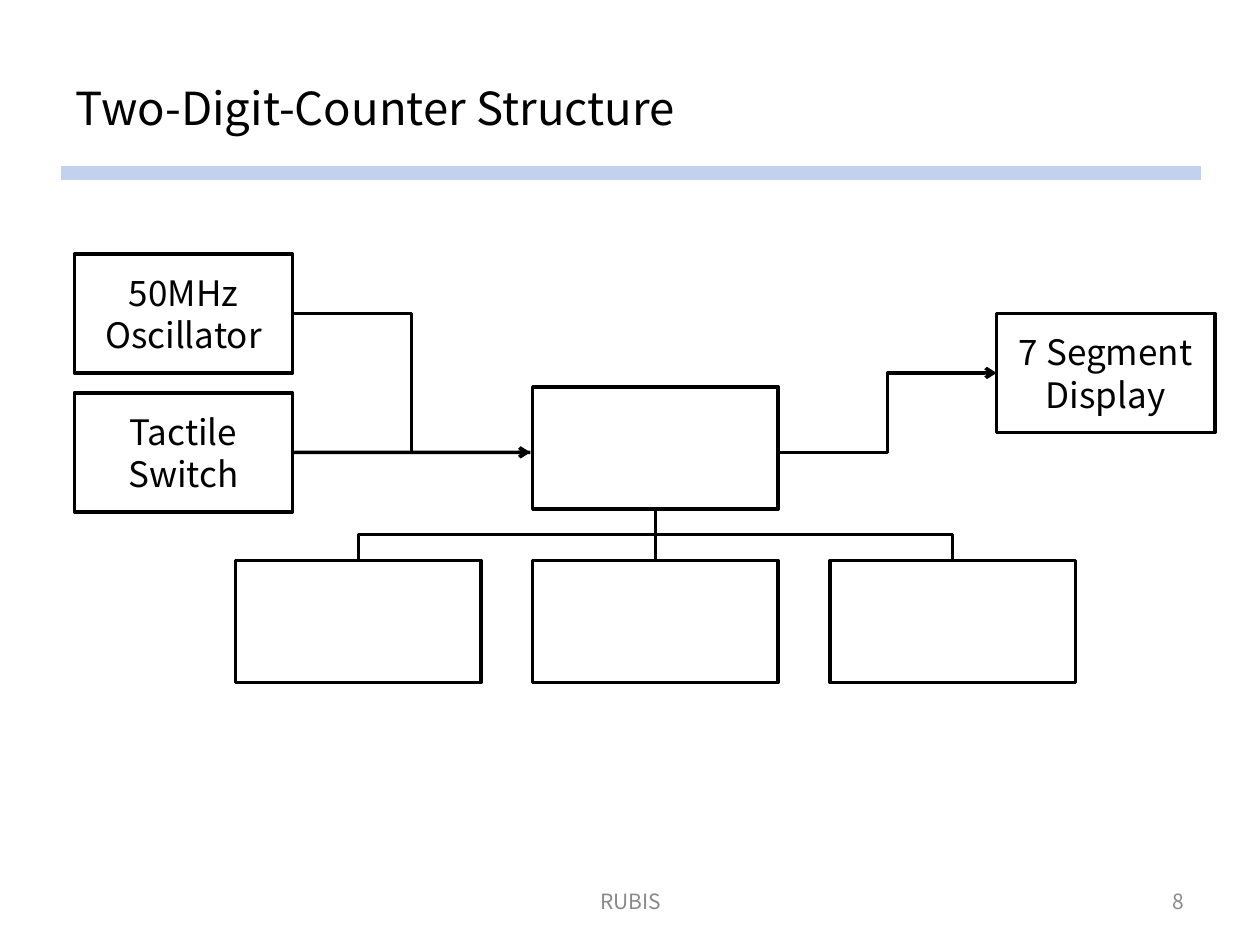
import pptx
import pptx.util
import pptx.dml.color
import pptx.enum.shapes
import pptx.enum.text
import pptx.oxml
from pptx.oxml.ns import qn
from pptx.util import Cm

COLORS = {"black": "000000", "white": "FFFFFF", "gray": "898989", "bar": "C2D1ED"}
FONT = "Noto Sans CJK KR"
CONNECTOR = pptx.enum.shapes.MSO_CONNECTOR
ALIGN = pptx.enum.text.PP_ALIGN


def write(shape, text, size=20, color="black", align=ALIGN.CENTER, spacing=None):
    frame = shape.text_frame
    frame.word_wrap = True
    frame.vertical_anchor = pptx.enum.text.MSO_ANCHOR.MIDDLE
    frame.text = text
    paragraph = frame.paragraphs[0]
    paragraph.alignment = align
    paragraph.line_spacing = spacing
    paragraph.font.name = FONT
    paragraph.font.size = pptx.util.Pt(size)
    paragraph.font.color.rgb = pptx.dml.color.RGBColor.from_string(COLORS[color])


def style_line(shape, color="black", width=2, arrow=False):
    shape.line.color.rgb = pptx.dml.color.RGBColor.from_string(COLORS[color])
    shape.line.width = pptx.util.Pt(width)
    if arrow:
        pptx.oxml.xmlchemy.OxmlElement  # arrowhead goes last inside the line
        shape.line._get_or_add_ln().append(pptx.oxml.xmlchemy.OxmlElement("a:tailEnd"))
        shape.line._get_or_add_ln().find(qn("a:tailEnd")).set("type", "arrow")
    properties = shape._element.spPr
    if properties.find(qn("a:effectLst")) is None:
        properties.append(pptx.oxml.xmlchemy.OxmlElement("a:effectLst"))


presentation = pptx.Presentation()
presentation.slide_width, presentation.slide_height = Cm(25.4), Cm(19.05)
slide = presentation.slides.add_slide(presentation.slide_layouts[5])
shapes = slide.shapes

# Title and the bar under it
title = shapes.title
title.left, title.top, title.width, title.height = Cm(1.27), Cm(0.76), Cm(22.86), Cm(2.82)
write(title, "Two-Digit-Counter Structure", size=26, align=ALIGN.LEFT)
bar = shapes.add_connector(CONNECTOR.STRAIGHT, Cm(1.22), Cm(3.48), Cm(24.21), Cm(3.48))
style_line(bar, color="bar", width=8)

# Footer and page number
for text, left, width, align in [("RUBIS", 8.69, 8.05, ALIGN.CENTER),
                                 ("8", 18.21, 5.92, ALIGN.RIGHT)]:
    footer = shapes.add_textbox(Cm(left), Cm(17.65), Cm(width), Cm(1.02))
    write(footer, text, size=12, color="gray", align=align)

# Boxes: the counter, its three modules, the inputs and the display
module_width, module_height, module_pitch = 4.95, 2.46, 5.99
counter_left, counter_top, module_top = 10.74, 7.8, 11.3
boxes = {"counter": ("", counter_left, counter_top, module_width, module_height)}
for index in range(3):
    left = counter_left + (index - 1) * module_pitch
    boxes[f"module {index}"] = ("", left, module_top, module_width, module_height)
boxes["oscillator"] = ("50MHz Oscillator", 1.5, 5.12, 4.4, 2.4)
boxes["display"] = ("7 Segment Display", 20.09, 6.32, 4.4, 2.4)
boxes["switch"] = ("Tactile Switch", 1.5, 7.92, 4.4, 2.4)

box_shapes = {}
for name, (text, left, top, width, height) in boxes.items():
    box = shapes.add_shape(pptx.enum.shapes.MSO_SHAPE.RECTANGLE,
                           Cm(left), Cm(top), Cm(width), Cm(height))
    box.shadow.inherit = False
    box.fill.solid()
    box.fill.fore_color.rgb = pptx.dml.color.RGBColor.from_string(COLORS["white"])
    style_line(box)
    if text:
        write(box, text)
    box_shapes[name] = box

# Tree from the counter to its modules
trunk_x = counter_left + module_width / 2
trunk_top = counter_top + module_height
branch_y = (trunk_top + module_top) / 2
trunk = shapes.add_connector(CONNECTOR.STRAIGHT, Cm(trunk_x), Cm(trunk_top),
                             Cm(trunk_x), Cm(module_top))
trunk.begin_connect(box_shapes["counter"], 2)
trunk.end_connect(box_shapes["module 1"], 0)
style_line(trunk)
for side in (-1, 1):
    branch_x = trunk_x + side * module_pitch
    builder = shapes.build_freeform(Cm(trunk_x), Cm(trunk_top))
    builder.add_line_segments([(Cm(trunk_x), Cm(branch_y)), (Cm(branch_x), Cm(branch_y)),
                               (Cm(branch_x), Cm(module_top))], close=False)
    branch = builder.convert_to_shape()
    branch.shadow.inherit = False
    branch.fill.background()
    style_line(branch)

# Signals into and out of the counter
signal_y = 9.12
signals = [
    (CONNECTOR.ELBOW, 5.9, 6.32, 10.69, signal_y, "oscillator", None, True),
    (CONNECTOR.ELBOW, 15.69, signal_y, 20.09, 7.52, None, "display", True),
    (CONNECTOR.STRAIGHT, 5.9, signal_y, 10.69, signal_y, "switch", None, False),
]
for kind, begin_x, begin_y, end_x, end_y, source, target, arrow in signals:
    signal = shapes.add_connector(kind, Cm(begin_x), Cm(begin_y), Cm(end_x), Cm(end_y))
    if source:
        signal.begin_connect(box_shapes[source], 3)
    if target:
        signal.end_connect(box_shapes[target], 1)
    style_line(signal, arrow=arrow)

presentation.save("out.pptx")
